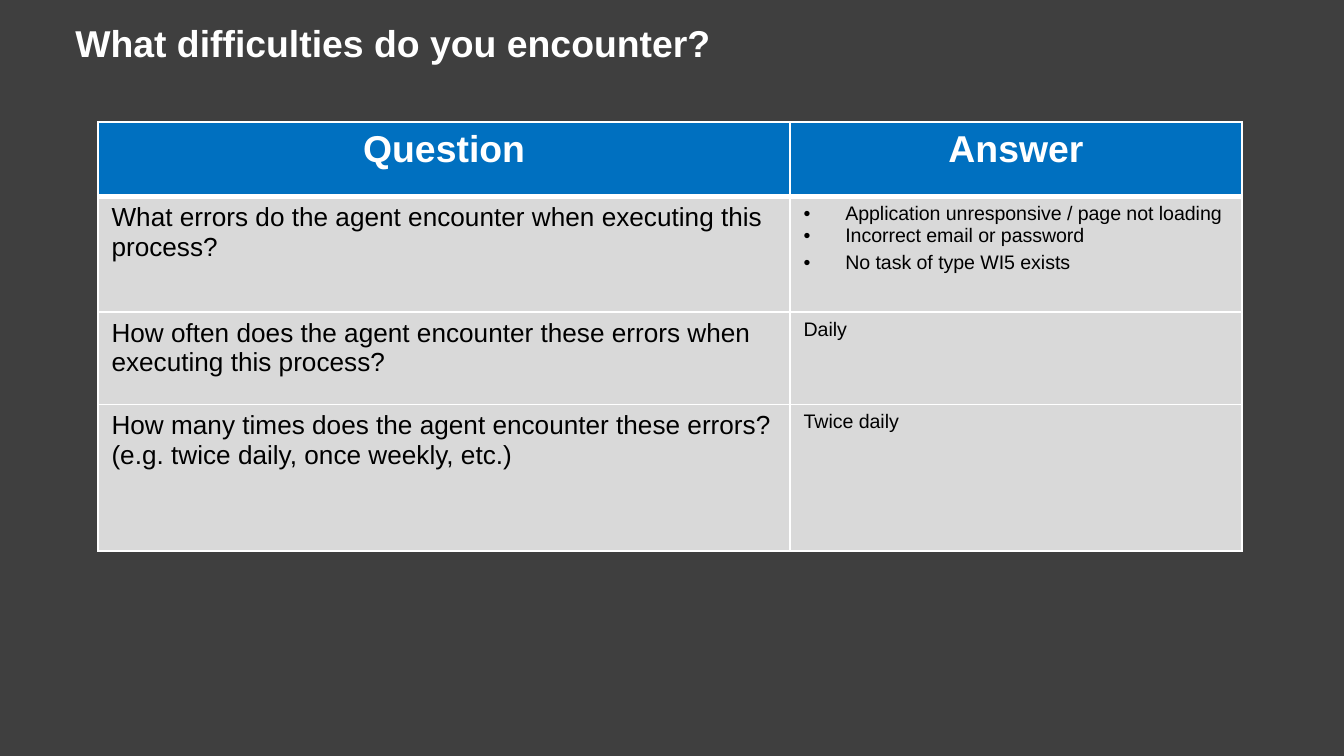
from lxml.etree import SubElement
from pptx import Presentation
from pptx.dml.color import RGBColor
from pptx.enum.text import MSO_ANCHOR, PP_ALIGN
from pptx.oxml.ns import qn
from pptx.util import Inches, Pt

COLORS = {"back": "3F3F3F", "head": "0070C0", "cell": "D9D9D9",
          "light": "FFFFFF", "dark": "000000"}
HEAD = {"size": Pt(20), "bold": True}
ASK = {"size": Pt(14), "bold": False}
REPLY = {"size": Pt(10.5), "bold": False}

ROWS = [
    ("Question", ["Answer"]),
    ("What errors do the agent encounter when executing this process?",
     ["Application unresponsive / page not loading",
      "Incorrect email or password",
      "No task of type WI5 exists"]),
    ("How often does the agent encounter these errors when executing this process?",
     ["Daily"]),
    ("How many times does the agent encounter these errors? "
     "(e.g. twice daily, once weekly, etc.)", ["Twice daily"]),
]
WIDTHS = [5.15, 3.36]
HEIGHTS = [0.55, 0.86, 0.69, 1.09]


def rgb(name):
    return RGBColor.from_string(COLORS[name])


class Deck:
    def __init__(self, wide, high):
        self.prs = Presentation()
        self.prs.slide_width, self.prs.slide_height = Inches(wide), Inches(high)
        self.slide = self.prs.slides.add_slide(self.prs.slide_layouts[5])
        fill = self.slide.background.fill
        fill.solid()
        fill.fore_color.rgb = rgb("back")

    def style(self, para, look, color, align=PP_ALIGN.LEFT):
        para.alignment = align
        for key, value in {"name": "Arial", **look}.items():
            setattr(para.font, key, value)
        para.font.color.rgb = rgb(color)

    def indent(self, para, left, first=0):
        props = para._p.get_or_add_pPr()
        props.set("marL", str(Inches(left)))
        props.set("indent", str(Inches(first)))
        return props

    def bullet(self, para):
        props = self.indent(para, 0.31, -0.31)
        color = SubElement(props, qn("a:buClr"))
        SubElement(color, qn("a:srgbClr"), val=COLORS["dark"])
        SubElement(props, qn("a:buFont"), typeface="Arial")
        SubElement(props, qn("a:buChar"), char="•")

    def title(self, text, left, top, wide, high):
        shape = self.slide.shapes.title
        box = {"left": left, "top": top, "width": wide, "height": high}
        for key, value in box.items():
            setattr(shape, key, Inches(value))
        frame = shape.text_frame
        for side in ("left", "right", "top", "bottom"):
            setattr(frame, f"margin_{side}", Inches(0.1))
        frame.vertical_anchor = MSO_ANCHOR.TOP
        frame.text = text
        self.indent(frame.paragraphs[0], 0.12)
        self.style(frame.paragraphs[0], HEAD, "light")

    def border(self, cell, row):
        thick = {0: "B", 1: "T"}.get(row)
        for side in "LRTB":
            line = SubElement(cell._tc.get_or_add_tcPr(), qn(f"a:ln{side}"),
                              w=str(Pt(3 if side == thick else 1)))
            fill = SubElement(line, qn("a:solidFill"))
            SubElement(fill, qn("a:srgbClr"), val=COLORS["light"])

    def cell(self, cell, row, lines, look):
        head = row == 0
        self.border(cell, row)
        cell.fill.solid()
        cell.fill.fore_color.rgb = rgb("head" if head else "cell")
        cell.text = "\n".join(lines)
        paras = cell.text_frame.paragraphs
        for para in paras:
            if len(paras) > 1:
                self.bullet(para)
            self.style(para, HEAD if head else look, "light" if head else "dark",
                       PP_ALIGN.CENTER if head else PP_ALIGN.LEFT)
        if len(paras) > 1:
            paras[-1].space_before = Pt(3)

    def table(self, rows, left, top, widths, heights):
        table = self.slide.shapes.add_table(
            len(rows), len(widths), Inches(left), Inches(top),
            Inches(sum(widths)), Inches(sum(heights))).table
        for col, wide in zip(table.columns, widths):
            col.width = Inches(wide)
        for i, (ask, reply) in enumerate(rows):
            table.rows[i].height = Inches(heights[i])
            self.cell(table.cell(i, 0), i, [ask], ASK)
            self.cell(table.cell(i, 1), i, reply, REPLY)


def main():
    # Widescreen page, 16 to 9
    deck = Deck(10, 10 * 9 / 16)
    # Heading
    deck.title("What difficulties do you encounter?", 0.34, 0.05, 9.32, 0.58)
    # Questions and answers
    deck.table(ROWS, 0.73, 0.91, WIDTHS, HEIGHTS)
    deck.prs.save("out.pptx")


if __name__ == "__main__":
    main()
